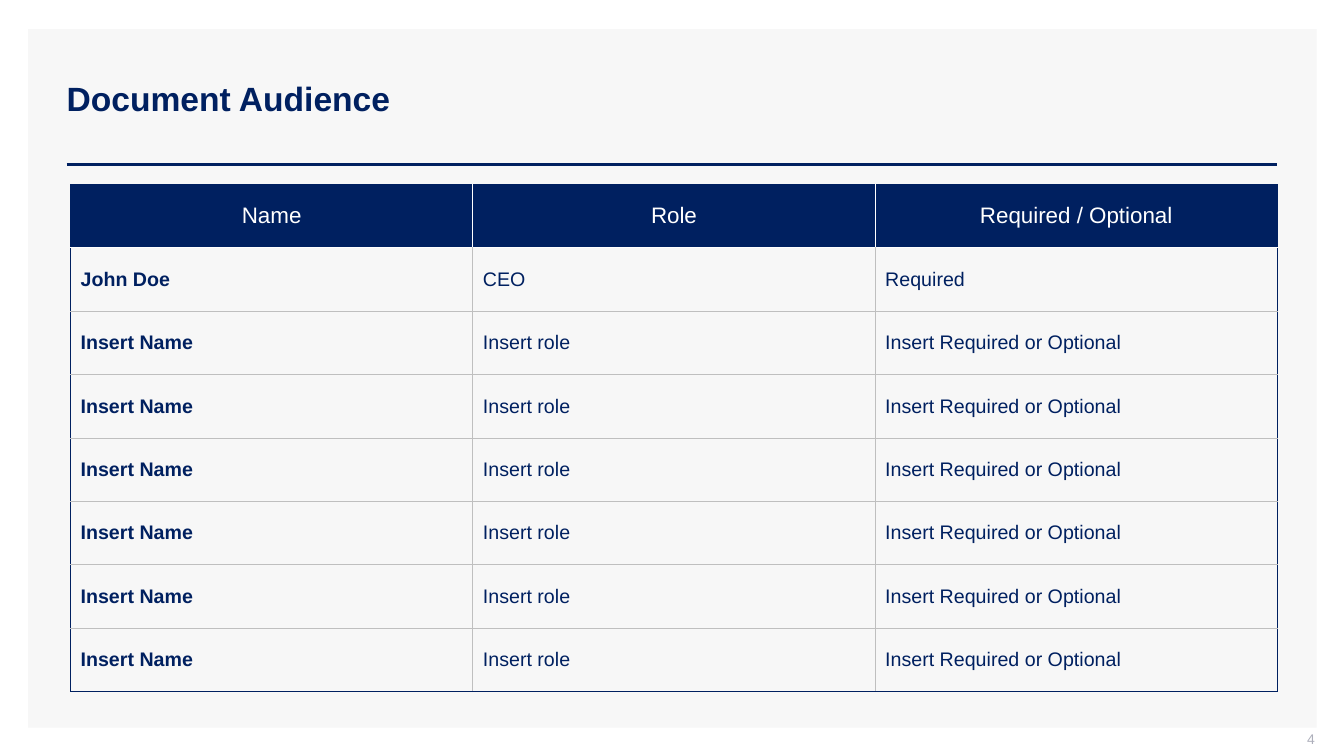
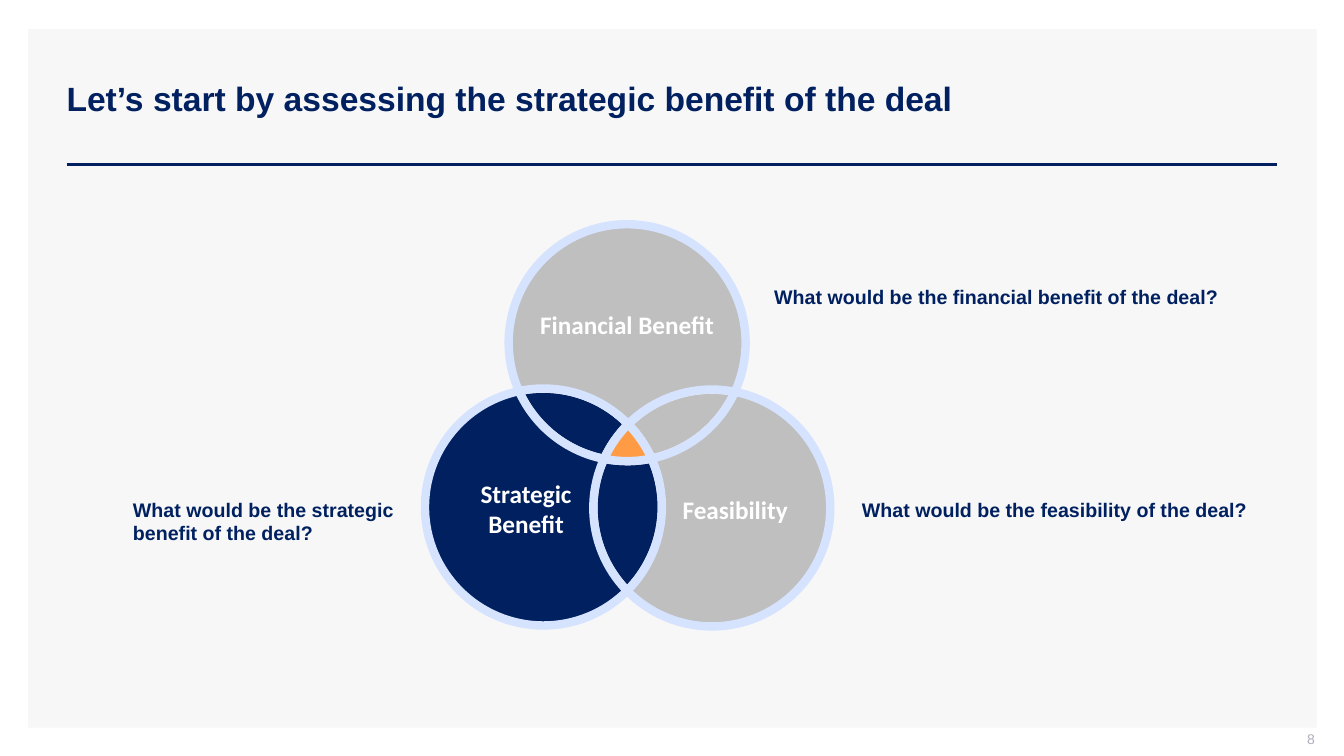
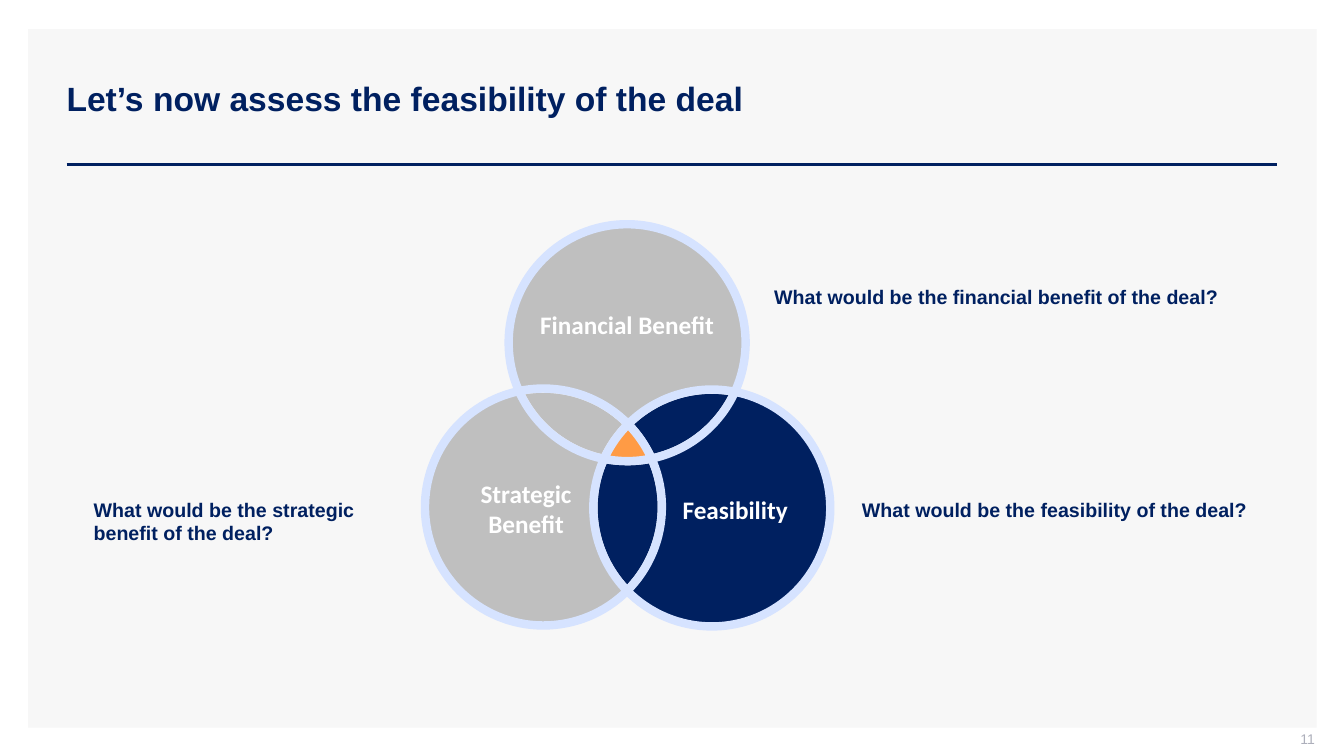
from math import atan2, ceil, cos, dist, floor, hypot, pi, sin, tan

from lxml import etree
from pptx import Presentation
from pptx.dml.color import RGBColor
from pptx.enum.shapes import MSO_CONNECTOR, MSO_SHAPE
from pptx.enum.text import MSO_ANCHOR, PP_ALIGN
from pptx.oxml.ns import qn
from pptx.util import Inches, Pt

NAVY = RGBColor(0x00, 0x20, 0x60)
GRAY = RGBColor(0xBF, 0xBF, 0xBF)
PANEL = RGBColor(0xF7, 0xF7, 0xF7)
PALE = RGBColor(0xF2, 0xF2, 0xF2)
SKY = RGBColor(0xD6, 0xE3, 0xFF)
ORANGE = RGBColor(0xFF, 0x9B, 0x45)
NUMBER = RGBColor(0xAD, 0xAF, 0xBB)
WHITE = RGBColor(0xFF, 0xFF, 0xFF)

LEFT, CENTER, RIGHT = PP_ALIGN.LEFT, PP_ALIGN.CENTER, PP_ALIGN.RIGHT
TOP, MIDDLE = MSO_ANCHOR.TOP, MSO_ANCHOR.MIDDLE
RECTANGLE, STRAIGHT = MSO_SHAPE.RECTANGLE, MSO_CONNECTOR.STRAIGHT

# Page grid, in inches
WIDTH, HEIGHT = 13.33, 7.5
PANEL_BOX = (0.28, 0.29, 12.78, 6.93)
CONTENT_LEFT, CONTENT_RIGHT = 0.66, 12.67
RULE_Y = 1.63
TITLE_ONLY = 5

# Three equal circles: centres, and the radius they share
RADIUS = 2.35 / 2
CIRCLES = {"financial": (6.22, 3.4), "strategic": (5.39, 5.03),
           "feasibility": (7.06, 5.04)}
LABELS = {"financial": "Financial Benefit", "strategic": "Strategic\nBenefit",
          "feasibility": "Feasibility"}


def write(tf, text, size=14, color=NAVY, bold=False, font="Arial", align=LEFT,
          anchor=TOP, spacing=None, margins=(0.1, 0.05, 0.1, 0.05)):
    """Fill a text frame, one paragraph per line of text."""
    tf.word_wrap = True
    tf.vertical_anchor = anchor
    (tf.margin_left, tf.margin_top,
     tf.margin_right, tf.margin_bottom) = map(Inches, margins)
    tf.text = text
    for p in tf.paragraphs:
        p.alignment = align
        p.line_spacing = spacing
        for r in p.runs:
            f = r.font
            f.name, f.size, f.bold = font, Pt(size), bold
            f.color.rgb = color


def text_box(s, x, y, w, h, text, **fmt):
    box = s.shapes.add_textbox(*map(Inches, (x, y, w, h)))
    write(box.text_frame, text, **fmt)


def add_slide(prs, title, number):
    """A slide with the shared panel, title, rule and number."""
    s = prs.slides.add_slide(prs.slide_layouts[TITLE_ONLY])

    # Panel and rule, behind everything else
    panel = s.shapes.add_shape(RECTANGLE, *map(Inches, PANEL_BOX))
    panel.shadow.inherit = False
    panel.fill.solid()
    panel.fill.fore_color.rgb = PANEL
    panel.line.fill.background()
    rule = s.shapes.add_connector(STRAIGHT, Inches(CONTENT_LEFT), Inches(RULE_Y),
                                  Inches(CONTENT_RIGHT), Inches(RULE_Y))
    rule.line.color.rgb = NAVY
    rule.line.width = Pt(2)
    etree.SubElement(rule.element.spPr, qn("a:effectLst"))
    for shape in (rule, panel):
        shape.element.getparent().insert(2, shape.element)

    # Title and number
    t = s.shapes.title
    t.left, t.top, t.width, t.height = map(Inches, (0.56, 0.4, 12.11, 1.19))
    write(t.text_frame, title, size=24, bold=True, anchor=MIDDLE, spacing=0.9)
    text_box(s, 10.04, 7.25, 3, 0.21, str(number), size=10, color=NUMBER,
             align=RIGHT, anchor=MIDDLE, margins=(0.1, 0, 0, 0.05))
    return s


# Table
def set_borders(cell, **sides):
    """Draw cell borders; each side L, R, T, B is a (colour, points) pair."""
    tc_pr = cell._tc.get_or_add_tcPr()
    for side in "LRTB":
        color, width = sides[side]
        ln = etree.SubElement(tc_pr, qn("a:ln" + side), w=str(Pt(width)))
        fill = etree.SubElement(ln, qn("a:solidFill"))
        etree.SubElement(fill, qn("a:srgbClr"), val=str(color))


def add_grid(s, x, y, w, h, rows):
    n_rows, n_cols = len(rows), len(rows[0])
    table = s.shapes.add_table(n_rows, n_cols, *map(Inches, (x, y, w, h))).table
    table.first_row = table.horz_banding = False
    outer, inner, light = (NAVY, 0.75), (GRAY, 0.75), (WHITE, 1)
    for i, row in enumerate(rows):
        table.rows[i].height = Inches(h / n_rows)
        head, last = i == 0, i == n_rows - 1
        between = light if head else inner
        top = outer if head else light if i == 1 else inner
        bottom = light if head else outer if last else inner
        for j, text in enumerate(row):
            cell = table.cell(i, j)
            set_borders(cell, T=top, B=bottom,
                        L=outer if j == 0 else between,
                        R=outer if j == n_cols - 1 else between)
            cell.vertical_anchor = MIDDLE
            if head:
                cell.fill.solid()
                cell.fill.fore_color.rgb = NAVY
                write(cell.text_frame, text, size=16, color=WHITE,
                      align=CENTER, anchor=MIDDLE)
            else:
                cell.fill.background()
                write(cell.text_frame, text, bold=j == 0, anchor=MIDDLE)


# Venn diagram
def crossings(a, b, other):
    """The points where two circles cross: (outside, inside) the other one."""
    (ax, ay), (bx, by) = CIRCLES[a], CIRCLES[b]
    dx, dy = bx - ax, by - ay
    d = hypot(dx, dy)
    k = (RADIUS ** 2 - d ** 2 / 4) ** 0.5 / d
    points = [((ax + bx) / 2 + sign * k * dy, (ay + by) / 2 - sign * k * dx)
              for sign in (1, -1)]
    return sorted(points, key=lambda q: -dist(q, CIRCLES[other]))


def arc(circle, start, end, long=False):
    """Bézier curves along a circle, cut at its quarters: lists of 4 points."""
    cx, cy = CIRCLES[circle]
    a = atan2(start[1] - cy, start[0] - cx)
    sweep = (atan2(end[1] - cy, end[0] - cx) - a + pi) % (2 * pi) - pi
    if long:
        sweep -= 2 * pi if sweep > 0 else -2 * pi
    low, high = sorted((a, a + sweep))
    quarter = pi / 2
    cuts = [n * quarter for n in range(ceil(low / quarter), floor(high / quarter) + 1)]
    angles = sorted([low, *cuts, high], reverse=sweep < 0)

    def point(angle, pull=0.0):
        return (Inches(cx + RADIUS * (cos(angle) - pull * sin(angle))),
                Inches(cy + RADIUS * (sin(angle) + pull * cos(angle))))

    curves = []
    for u, v in zip(angles, angles[1:]):
        pull = 4 / 3 * tan((v - u) / 4)
        curves.append([point(u), point(u, pull), point(v, -pull), point(v)])
    return curves


def add_region(s, arcs, fill, line):
    """An outline of arcs: drawn straight first, then each side is curved."""
    curves = [curve for side in arcs for curve in arc(*side)]
    builder = s.shapes.build_freeform(*curves[0][0], scale=1.0)
    builder.add_line_segments([curve[-1] for curve in curves], close=True)
    region = builder.convert_to_shape()
    sides = list(region.element.iter(qn("a:lnTo")))
    for side, curve in zip(sides, curves):
        bezier = etree.Element(qn("a:cubicBezTo"))
        for x, y in curve[1:]:
            etree.SubElement(bezier, qn("a:pt"), x=str(x - region.left),
                             y=str(y - region.top))
        side.getparent().replace(side, bezier)
    region.shadow.inherit = False
    region.fill.solid()
    region.fill.fore_color.rgb = fill
    region.line.color.rgb = line
    region.line.width = Pt(6)
    return region


def add_venn(s, overlap_fills, circle_fills):
    """Overlaps are listed by the circle that they leave out."""
    f, t, e = "financial", "strategic", "feasibility"
    turns = [(f, t, e), (t, e, f), (e, f, t)]
    outer, inner = {}, {}
    for a, b, other in turns:
        outer[other], inner[other] = crossings(a, b, other)

    # Overlaps of two circles
    for a, b, other in [turns[0], turns[2], turns[1]]:
        add_region(s, [(b, outer[other], inner[a]), (other, inner[a], inner[b]),
                       (a, inner[b], outer[other])], overlap_fills[other], PALE)

    # Rest of each circle, with its label
    for a, b, c in turns:
        region = add_region(s, [(a, outer[c], outer[b], True),
                                (c, outer[b], inner[a]),
                                (b, inner[a], outer[c])], circle_fills[a], SKY)
        start = a == e
        write(region.text_frame, LABELS[a], size=18, color=WHITE, bold=True,
              font="Calibri", align=LEFT if start else CENTER, anchor=MIDDLE,
              margins=(0.55 if start else 0, 0.05, 0, 0.05))

    # Overlap of all three
    add_region(s, [(t, inner[f], inner[e]), (f, inner[e], inner[t]),
                   (e, inner[t], inner[f])], ORANGE, SKY)


def venn_slide(prs, title, number, focus, strategic_x):
    s = add_slide(prs, title, number)
    for x, y, w, h, topic in [(7.58, 2.78, 4.68, 0.34, "financial benefit"),
                              (8.45, 4.89, 4.26, 0.34, "feasibility"),
                              (strategic_x, 4.89, 3.31, 0.57, "strategic benefit")]:
        text_box(s, x, y, w, h, f"What would be the {topic} of the deal?", bold=True)
    circle_fills = {name: NAVY if name == focus else GRAY for name in CIRCLES}
    overlap_fills = {"financial": NAVY, "strategic": circle_fills["feasibility"],
                     "feasibility": circle_fills["strategic"]}
    add_venn(s, overlap_fills, circle_fills)


def main():
    prs = Presentation()
    prs.slide_width, prs.slide_height = Inches(WIDTH), Inches(HEIGHT)

    s = add_slide(prs, "Document Audience", 4)
    blank = ("Insert Name", "Insert role", "Insert Required or Optional")
    add_grid(s, 0.7, 1.83, CONTENT_RIGHT - 0.7, 5.03,
             [("Name", "Role", "Required / Optional"),
              ("John Doe", "CEO", "Required")] + [blank] * 6)

    venn_slide(prs, "Let’s start by assessing the strategic benefit of the deal",
               8, "strategic", 1.22)
    venn_slide(prs, "Let’s now assess the feasibility of the deal",
               11, "feasibility", 0.83)
    prs.save("out.pptx")


if __name__ == "__main__":
    main()
